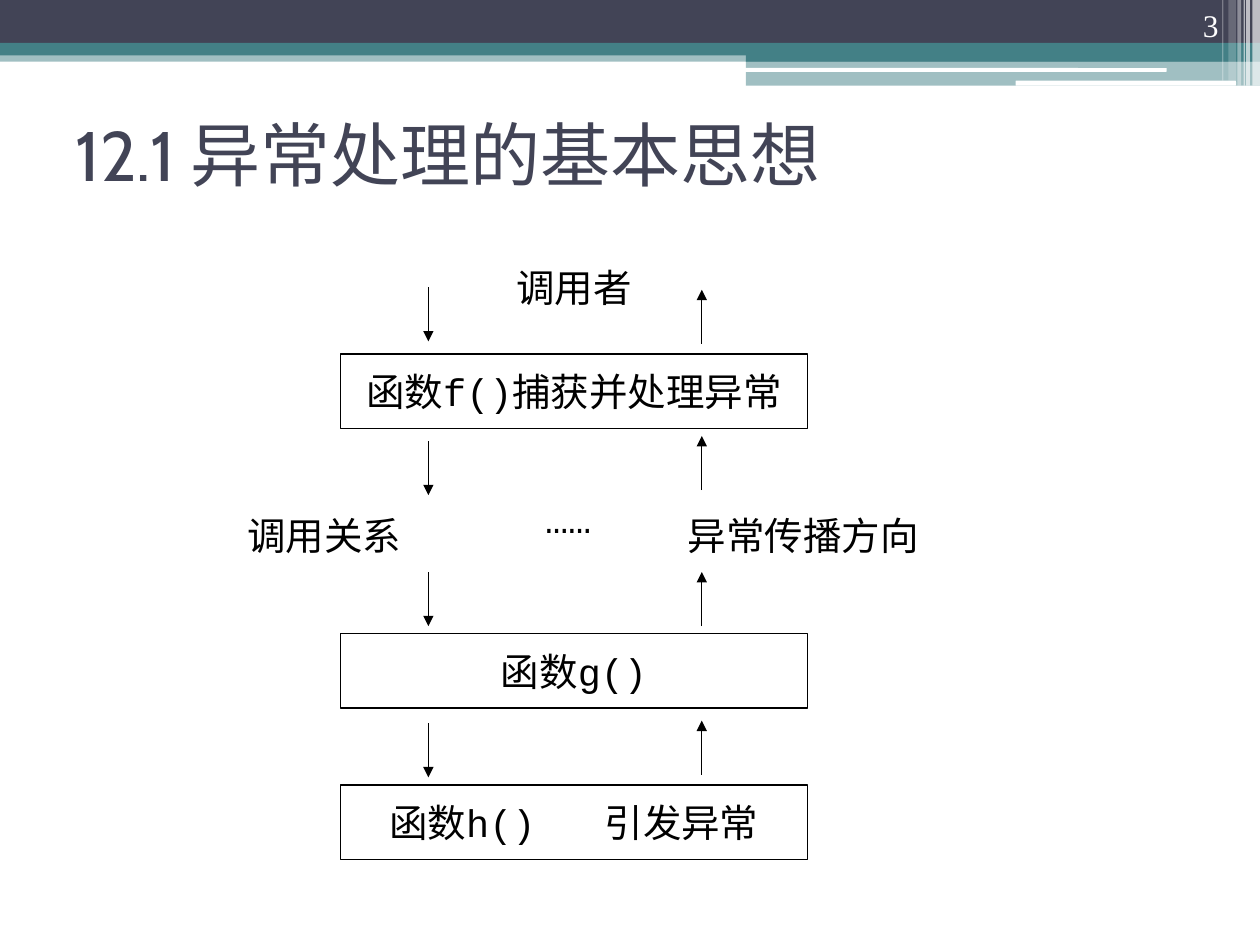
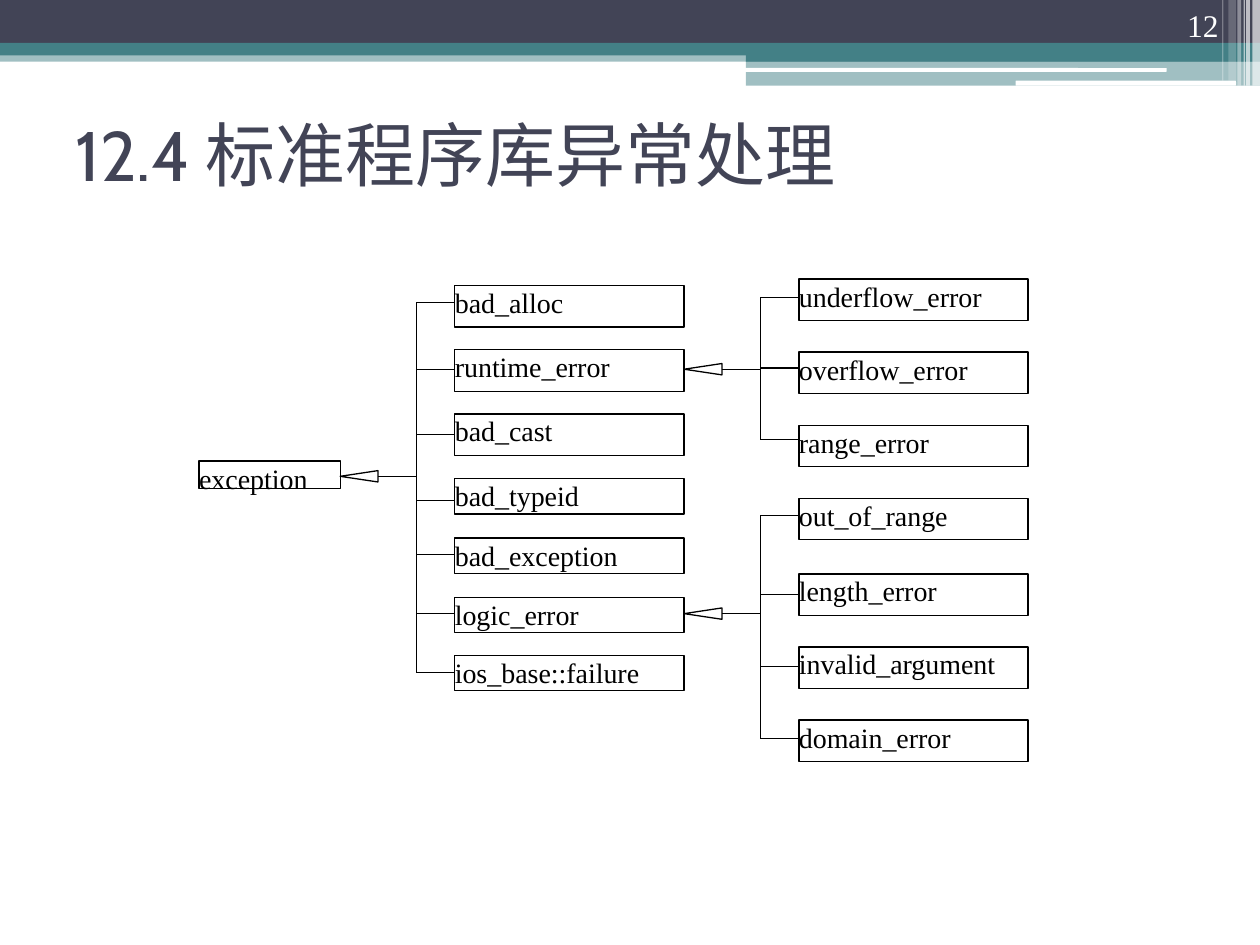
from dataclasses import dataclass
from typing import NamedTuple

from lxml import etree
from pptx import Presentation
from pptx.dml.color import RGBColor
from pptx.enum.shapes import MSO_CONNECTOR, MSO_SHAPE
from pptx.enum.text import MSO_ANCHOR, PP_ALIGN
from pptx.oxml.ns import qn
from pptx.util import Inches, Pt

RECT, ROUNDED = MSO_SHAPE.RECTANGLE, MSO_SHAPE.ROUNDED_RECTANGLE
TRIANGLE = MSO_SHAPE.FLOWCHART_EXTRACT
STRAIGHT = MSO_CONNECTOR.STRAIGHT
LEFT, CENTER, RIGHT = PP_ALIGN.LEFT, PP_ALIGN.CENTER, PP_ALIGN.RIGHT
TOP, MIDDLE, BOTTOM = MSO_ANCHOR.TOP, MSO_ANCHOR.MIDDLE, MSO_ANCHOR.BOTTOM


class TextStyle(NamedTuple):
    font: str
    size: int
    color: RGBColor
    align: PP_ALIGN = CENTER
    anchor: MSO_ANCHOR = MIDDLE
    inset_x: float = 0.1
    inset_y: float = 0


@dataclass(frozen=True)
class Theme:
    navy: RGBColor = RGBColor(0x42, 0x44, 0x56)
    teal: RGBColor = RGBColor(0x43, 0x80, 0x86)
    white: RGBColor = RGBColor(0xFF, 0xFF, 0xFF)
    black: RGBColor = RGBColor(0, 0, 0)
    line_width: float = 0.75

    @property
    def title(self) -> TextStyle:
        return TextStyle("Cabin", 40, self.navy, LEFT, inset_y=0.05)

    @property
    def page_number(self) -> TextStyle:
        return TextStyle("Times New Roman", 18, self.white, RIGHT, BOTTOM, inset_y=0.05)

    @property
    def function(self) -> TextStyle:
        return TextStyle("Courier New", 22, self.black)

    @property
    def class_name(self) -> TextStyle:
        return TextStyle("Times New Roman", 16, self.black, LEFT, TOP, inset_x=0)


THEME = Theme()


class Area(NamedTuple):
    left: float
    top: float
    width: float
    height: float

    def emu(self) -> list:
        return [Inches(length) for length in self]


class Band(NamedTuple):
    area: Area
    color: RGBColor
    opacity: int = 100
    outline: MSO_SHAPE = RECT


class Label(NamedTuple):
    text: str
    area: Area


class FunctionBox(NamedTuple):
    text: str
    top: float
    note: str = ""


class Subclass(NamedTuple):
    name: str
    middle: float
    link: float
    height: float = 0.33


class Branch(NamedTuple):
    """Subclasses hanging from the right edge of their base class."""
    base_edge: float
    base_middle: float
    subclasses: list[Subclass]


HEADER = [
    Band(Area(0, 0.4, 10, 0.09), THEME.teal, 50),
    Band(Area(0, 0, 10, 0.34), THEME.navy),
    Band(Area(0, 0.34, 10, 0.1), THEME.teal),
    Band(Area(5.92, 0.39, 4.08, 0.1), THEME.teal),
    Band(Area(5.92, 0.48, 4.08, 0.2), THEME.teal, 50),
    Band(Area(5.91, 0.54, 3.35, 0.03), THEME.white, outline=ROUNDED),
    Band(Area(8.06, 0.64, 1.75, 0.04), THEME.white, outline=ROUNDED),
    *(Band(Area(left, 0, width, height), THEME.white, opacity)
      for left, width, height, opacity in [
          (9.94, 0.06, 0.68, 65), (9.89, 0.03, 0.68, 65), (9.87, 0.01, 0.68, 60),
          (9.82, 0.03, 0.68, 40), (9.75, 0.06, 0.64, 20), (9.7, 0.01, 0.64, 30)]),
]
TITLE_AREA = Area(0.5, 0.63, 9, 1.17)
PAGE_NUMBER_AREA = Area(8.94, 0, 0.83, 0.4)

FUNCTIONS = [
    FunctionBox("函数f()捕获并处理异常", 2.81),
    FunctionBox("函数g()", 5.03),
    FunctionBox("函数h()", 6.23, "引发异常"),
]
FUNCTION_LEFT, FUNCTION_WIDTH, FUNCTION_HEIGHT = 2.7, 3.71, 0.59
NOTE_GAP = 26.4
CALL_X, CALL_TOPS = 3.4, [2.28, 3.5, 4.54, 5.74]
THROW_X, THROW_TOPS = 5.57, [2.3, 3.46, 4.54, 5.72]
ARROW_LENGTH = 0.43
FLOW_LABELS = [
    Label("……", Area(2.9, 3.89, 3.22, 0.45)),
    Label("调用者", Area(3.7, 2.08, 1.71, 0.39)),
    Label("异常传播方向", Area(5.45, 4.05, 1.85, 0.39)),
    Label("调用关系", Area(1.72, 4.05, 1.71, 0.39)),
]

EXCEPTION = Label("exception", Area(1.58, 3.66, 1.12, 0.22))
BRANCHES = [
    Branch(2.7, 3.78, [
        Subclass("bad_alloc", 2.43, 2.4),
        Subclass("runtime_error", 2.94, 2.93),
        Subclass("bad_cast", 3.45, 3.45),
        Subclass("bad_typeid", 3.94, 3.97, 0.28),
        Subclass("bad_exception", 4.41, 4.4, 0.28),
        Subclass("logic_error", 4.88, 4.87, 0.28),
        Subclass("ios_base::failure", 5.34, 5.34, 0.28),
    ]),
    Branch(5.43, 2.93, [
        Subclass("underflow_error", 2.38, 2.36),
        Subclass("overflow_error", 2.96, 2.92),
        Subclass("range_error", 3.54, 3.49),
    ]),
    Branch(5.43, 4.87, [
        Subclass("out_of_range", 4.12, 4.09),
        Subclass("length_error", 4.72, 4.72),
        Subclass("invalid_argument", 5.3, 5.29),
        Subclass("domain_error", 5.88, 5.86),
    ]),
]
CLASS_WIDTH = 1.82
TRIANGLE_LENGTH, TRIANGLE_BASE = 0.3, 0.09
LINK_LENGTH = 0.305


def write(frame, text: str, style: TextStyle, note: str = "") -> None:
    """Fill a text frame; a note follows the text after a widened space."""
    frame.word_wrap = True
    frame.vertical_anchor = style.anchor
    frame.margin_left = frame.margin_right = Inches(style.inset_x)
    frame.margin_top = frame.margin_bottom = Inches(style.inset_y)
    frame.text = text
    paragraph = frame.paragraphs[0]
    paragraph.alignment = style.align
    if note:
        gap = paragraph.add_run()
        gap.text = " "
        gap.font._element.set("spc", str(round(NOTE_GAP * 100)))
        paragraph.add_run().text = note
    for run in paragraph.runs:
        run.font.name = style.font
        run.font.size = Pt(style.size)
        run.font.color.rgb = style.color


def add_text(slide, text: str, area: Area, style: TextStyle) -> None:
    write(slide.shapes.add_textbox(*area.emu()).text_frame, text, style)


def add_band(slide, band: Band) -> None:
    shape = slide.shapes.add_shape(band.outline, *band.area.emu())
    shape.shadow.inherit = False
    shape.line.fill.background()
    shape.fill.solid()
    shape.fill.fore_color.rgb = band.color
    if band.opacity < 100:
        color = shape.fill._xPr.find(qn("a:solidFill"))[0]
        etree.SubElement(color, qn("a:alpha"), val=str(band.opacity * 1000))


def add_outline(slide, kind: MSO_SHAPE, area: Area):
    shape = slide.shapes.add_shape(kind, *area.emu())
    shape.shadow.inherit = False
    shape.fill.background()
    shape.line.color.rgb = THEME.black
    shape.line.width = Pt(THEME.line_width)
    return shape


def add_box(slide, text: str, area: Area, style: TextStyle, note: str = "") -> None:
    write(add_outline(slide, RECT, area).text_frame, text, style, note)


def add_line(slide, x1: float, y1: float, x2: float, y2: float, arrow: bool = False) -> None:
    ends = [Inches(length) for length in (x1, y1, x2, y2)]
    line = slide.shapes.add_connector(STRAIGHT, *ends)
    line.line.color.rgb = THEME.black
    line.line.width = Pt(THEME.line_width)
    if arrow:
        etree.SubElement(line.line._get_or_add_ln(), qn("a:tailEnd"), type="triangle")
    etree.SubElement(line._element.spPr, qn("a:effectLst"))


def add_branch(slide, branch: Branch) -> None:
    """Draw an inheritance triangle, its trunk and the subclass boxes."""
    y = branch.base_middle
    stub_left = branch.base_edge + TRIANGLE_LENGTH
    trunk = stub_left + LINK_LENGTH
    box_left = trunk + LINK_LENGTH
    triangle = add_outline(slide, TRIANGLE, Area(
        branch.base_edge + (TRIANGLE_LENGTH - TRIANGLE_BASE) / 2,
        y - TRIANGLE_LENGTH / 2, TRIANGLE_BASE, TRIANGLE_LENGTH))
    triangle.rotation = 270
    add_line(slide, stub_left, y, trunk, y)
    add_line(slide, trunk, branch.subclasses[0].link, trunk, branch.subclasses[-1].link)
    for name, middle, link, height in branch.subclasses:
        add_line(slide, trunk, link, box_left, link)
        area = Area(box_left, middle - height / 2, CLASS_WIDTH, height)
        add_box(slide, name, area, THEME.class_name)


def add_base_slide(deck, title: str, page: int):
    slide = deck.slides.add_slide(deck.slide_layouts[6])
    for band in HEADER:
        add_band(slide, band)
    add_text(slide, title, TITLE_AREA, THEME.title)
    add_text(slide, str(page), PAGE_NUMBER_AREA, THEME.page_number)
    return slide


def build_call_flow(deck) -> None:
    slide = add_base_slide(deck, "12.1 异常处理的基本思想", 3)
    for text, top, note in FUNCTIONS:
        area = Area(FUNCTION_LEFT, top, FUNCTION_WIDTH, FUNCTION_HEIGHT)
        add_box(slide, text, area, THEME.function, note)
    for top in CALL_TOPS:
        add_line(slide, CALL_X, top, CALL_X, top + ARROW_LENGTH, arrow=True)
    for top in THROW_TOPS:
        add_line(slide, THROW_X, top + ARROW_LENGTH, THROW_X, top, arrow=True)
    for text, area in FLOW_LABELS:
        add_text(slide, text, area, THEME.function._replace(inset_x=0))


def build_class_tree(deck) -> None:
    slide = add_base_slide(deck, "12.4 标准程序库异常处理", 12)
    add_box(slide, EXCEPTION.text, EXCEPTION.area, THEME.class_name)
    for branch in BRANCHES:
        add_branch(slide, branch)


def main() -> None:
    deck = Presentation()
    deck.slide_width, deck.slide_height = Inches(10), Inches(7.5)
    build_call_flow(deck)
    build_class_tree(deck)
    deck.save("out.pptx")


if __name__ == "__main__":
    main()
